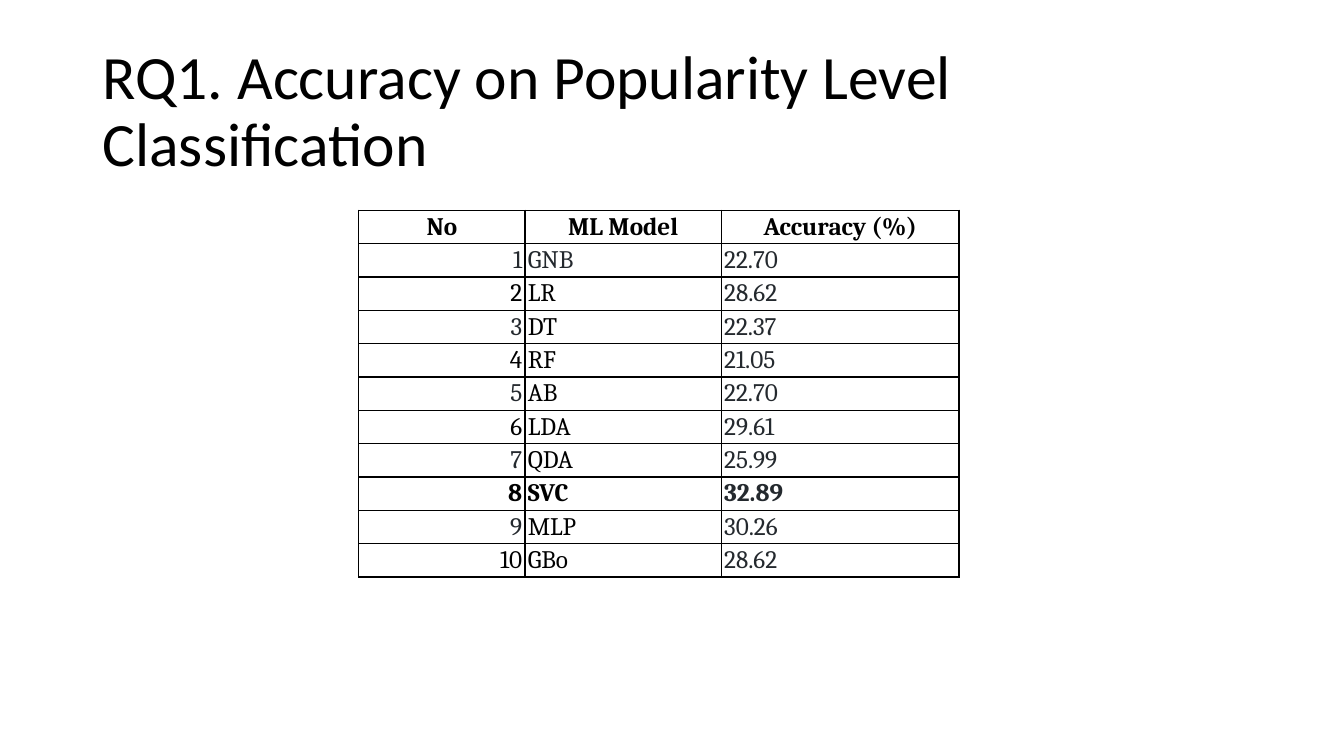
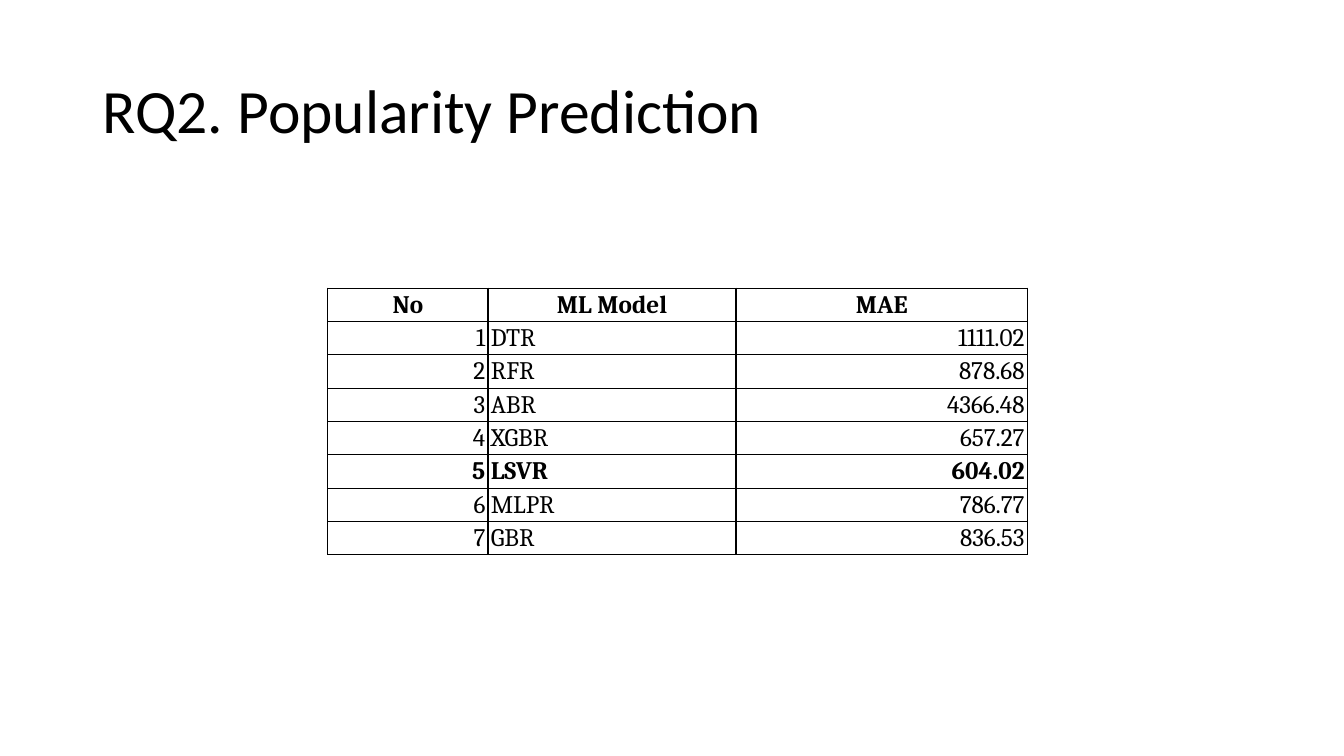
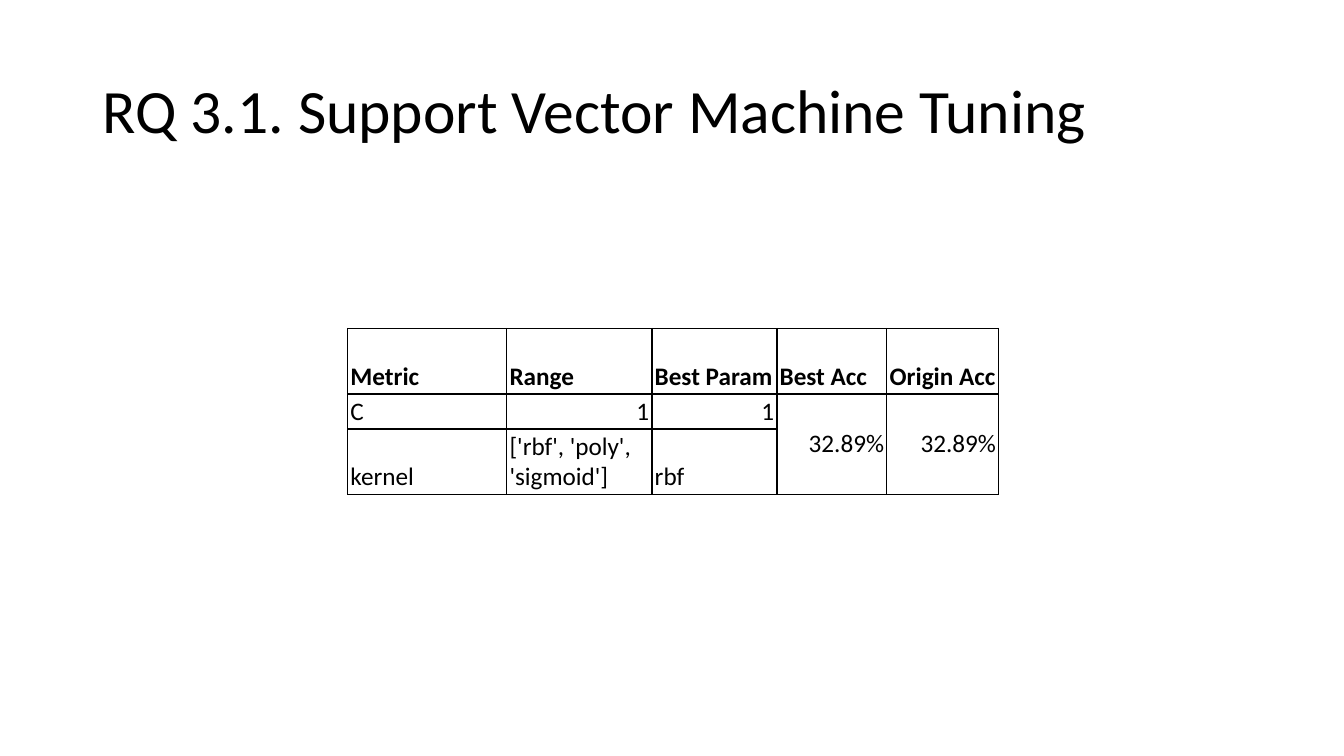
from dataclasses import dataclass

from lxml.etree import SubElement
from pptx import Presentation
from pptx.dml.color import RGBColor
from pptx.enum.text import MSO_ANCHOR, PP_ALIGN
from pptx.oxml.ns import qn
from pptx.util import Cm, Pt


@dataclass(frozen=True)
class Theme:
    text: str = "000000"
    muted: str = "24292E"
    border: str = "000000"
    sans: str = "Calibri"
    serif: str = "Cambria"
    title_size: int = 44
    table_size: int = 18
    border_width: int = 1


THEME = Theme()
ALIGNMENTS = {"l": PP_ALIGN.LEFT, "c": PP_ALIGN.CENTER, "r": PP_ALIGN.RIGHT}
TITLE_BOX = (2.33, 1.01, 29.21, 3.68)
LINE_HEIGHT = 0.84

# Content: "aligns" holds one letter per column for each row, lengths are in cm
ACCURACY_ROWS = [
    ("No", "ML Model", "Accuracy (%)"),
    ("1", "GNB", "22.70"),
    ("2", "LR", "28.62"),
    ("3", "DT", "22.37"),
    ("4", "RF", "21.05"),
    ("5", "AB", "22.70"),
    ("6", "LDA", "29.61"),
    ("7", "QDA", "25.99"),
    ("8", "SVC", "32.89"),
    ("9", "MLP", "30.26"),
    ("10", "GBo", "28.62"),
]
ERROR_ROWS = [
    ("No", "ML Model", "MAE"),
    ("1", "DTR", "1111.02"),
    ("2", "RFR", "878.68"),
    ("3", "ABR", "4366.48"),
    ("4", "XGBR", "657.27"),
    ("5", "LSVR", "604.02"),
    ("6", "MLPR", "786.77"),
    ("7", "GBR", "836.53"),
]
TUNING_ROWS = [
    ("Metric", "Range", "Best Param", "Best Acc", "Origin Acc"),
    ("C", "1", "1", "32.89%", "32.89%"),
    ("kernel", "['rbf', 'poly', 'sigmoid']", "rbf", "", ""),
]

# Odd row numbers, every accuracy and the first model name are muted
MUTED_ACCURACY_CELLS = (
    {(row, 0) for row in range(1, 11, 2)}
    | {(row, 2) for row in range(1, 11)}
    | {(1, 1)}
)

SLIDES = [
    {
        "title": "RQ1. Accuracy on Popularity Level Classification",
        "rows": ACCURACY_ROWS,
        "position": (9.04, 5.3),
        "widths": (4.19, 4.95, 5.99),
        "heights": [LINE_HEIGHT] * len(ACCURACY_ROWS),
        "aligns": ["ccc"] + ["rll"] * 10,
        "font": THEME.serif,
        "bold_rows": {0, 8},
        "muted": MUTED_ACCURACY_CELLS,
        "body_anchor": MSO_ANCHOR.TOP,
    },
    {
        "title": "RQ2. Popularity Prediction",
        "rows": ERROR_ROWS,
        "position": (8.26, 7.26),
        "widths": (4.04, 6.25, 7.34),
        "heights": [LINE_HEIGHT] * len(ERROR_ROWS),
        "aligns": ["ccc"] + ["rlr"] * 7,
        "font": THEME.serif,
        "bold_rows": {0, 5},
    },
    {
        "title": "RQ 3.1. Support Vector Machine Tuning",
        "rows": TUNING_ROWS,
        "position": (8.76, 8.28),
        "widths": (4.01, 3.66, 3.15, 2.77, 2.82),
        "heights": [1.65, 0.88, 1.65],
        "aligns": ["lllll", "lrrrr", "lllll"],
        "font": THEME.sans,
        "bold_rows": {0},
        "merged_columns": (3, 4),
    },
]


def write_text(frame, text, *, font, size, color=THEME.text, bold=False,
               align="l", line_spacing=1.0):
    paragraph = frame.paragraphs[0]
    paragraph.alignment = ALIGNMENTS[align]
    paragraph.line_spacing = line_spacing
    run = paragraph.add_run()
    run.text = text
    run.font.name = font
    run.font.size = Pt(size)
    run.font.bold = bold
    run.font.color.rgb = RGBColor.from_string(color)


def set_borders(cell):
    properties = cell._tc.get_or_add_tcPr()
    for side in ("a:lnL", "a:lnR", "a:lnT", "a:lnB"):
        line = SubElement(properties, qn(side), w=str(Pt(THEME.border_width)))
        fill = SubElement(line, qn("a:solidFill"))
        SubElement(fill, qn("a:srgbClr"), val=THEME.border)


def add_title(slide, text):
    title = slide.shapes.title
    title.left, title.top, title.width, title.height = map(Cm, TITLE_BOX)
    title.text_frame.word_wrap = True
    title.text_frame.vertical_anchor = MSO_ANCHOR.MIDDLE
    write_text(title.text_frame, text, font=THEME.sans,
               size=THEME.title_size, line_spacing=0.9)


def add_result_table(slide, content):
    rows, widths, heights = content["rows"], content["widths"], content["heights"]
    left, top = content["position"]
    table = slide.shapes.add_table(
        len(rows), len(widths), Cm(left), Cm(top),
        Cm(sum(widths)), Cm(sum(heights))).table
    table.first_row = table.horz_banding = False
    for column, width in zip(table.columns, widths):
        column.width = Cm(width)
    for row, height in zip(table.rows, heights):
        row.height = Cm(height)

    # Cells
    muted = content.get("muted", set())
    body_anchor = content.get("body_anchor", MSO_ANCHOR.BOTTOM)
    for row_index, texts in enumerate(rows):
        for column_index, text in enumerate(texts):
            cell = table.cell(row_index, column_index)
            set_borders(cell)
            cell.fill.background()
            cell.margin_left = cell.margin_right = Cm(0.07)
            cell.margin_top = cell.margin_bottom = Cm(0.05)
            cell.vertical_anchor = body_anchor if row_index else MSO_ANCHOR.BOTTOM
            if text:
                write_text(
                    cell.text_frame, text, font=content["font"],
                    size=THEME.table_size,
                    color=THEME.muted if (row_index, column_index) in muted else THEME.text,
                    bold=row_index in content["bold_rows"],
                    align=content["aligns"][row_index][column_index])

    # Results shared by all body rows
    for column_index in content.get("merged_columns", ()):
        cell = table.cell(1, column_index)
        cell.merge(table.cell(len(rows) - 1, column_index))
        cell.vertical_anchor = MSO_ANCHOR.MIDDLE


def main():
    presentation = Presentation()
    presentation.slide_width, presentation.slide_height = Cm(33.87), Cm(19.05)
    title_only = presentation.slide_layouts[5]
    for content in SLIDES:
        slide = presentation.slides.add_slide(title_only)
        add_title(slide, content["title"])
        add_result_table(slide, content)
    presentation.save("out.pptx")


if __name__ == "__main__":
    main()
